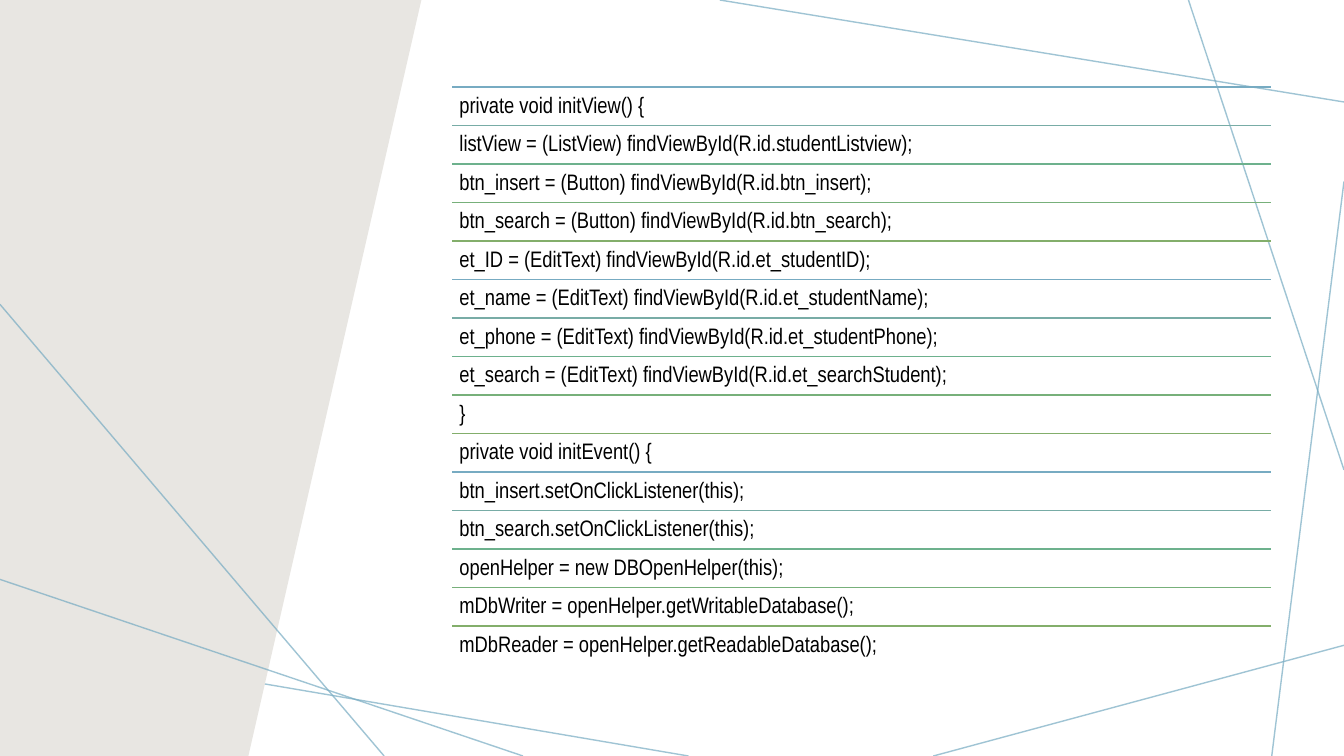
import pptx
import pptx.dml.color
import pptx.enum.shapes
import pptx.enum.text
import pptx.oxml.ns
import pptx.util
from lxml import etree

Cm = pptx.util.Cm
COLORS = {"panel": "E8E6E2", "text": "000000", "blue": "77ABC2", "teal": "78ACA6",
          "mint": "6DB18D", "green": "77B07A", "olive": "83AE6B"}
RULE_CYCLE = ["blue", "teal", "mint", "green", "olive"]
WIDTH, HEIGHT = 33.87, 19.05
ROW_LEFT, ROW_TOP, ROW_WIDTH, ROW_HEIGHT = 11.4, 2.19, 20.62, 0.97

PANEL = [(0, 0), (10.62, 0), (6.26, HEIGHT), (0, HEIGHT)]
BACK_LINES = [
    ((17.35, HEIGHT), (0, 16.1)),
    ((WIDTH, 16.26), (23.52, HEIGHT)),
    ((WIDTH, 4.57), (32.05, HEIGHT)),
    ((WIDTH, 11.84), (29.95, 0)),
    ((WIDTH, 2.57), (18.14, 0)),
]
FRONT_LINES = [
    ((0, 7.67), (9.68, HEIGHT)),
    ((13.18, HEIGHT), (0, 14.6)),
]
CODE = [
    "private void initView() {",
    "listView = (ListView) findViewById(R.id.studentListview);",
    "btn_insert = (Button) findViewById(R.id.btn_insert);",
    "btn_search = (Button) findViewById(R.id.btn_search);",
    "et_ID = (EditText) findViewById(R.id.et_studentID);",
    "et_name = (EditText) findViewById(R.id.et_studentName);",
    "et_phone = (EditText) findViewById(R.id.et_studentPhone);",
    "et_search = (EditText) findViewById(R.id.et_searchStudent);",
    "}",
    "private void initEvent() {",
    "btn_insert.setOnClickListener(this);",
    "btn_search.setOnClickListener(this);",
    "openHelper = new DBOpenHelper(this);",
    "mDbWriter = openHelper.getWritableDatabase();",
    "mDbReader = openHelper.getReadableDatabase();",
]


class SlideBuilder:
    font = "Arial Narrow"
    size = 16
    inset = 0.18

    def __init__(self, s):
        self.s = s

    def color(self, name):
        return pptx.dml.color.RGBColor.from_string(COLORS[name])

    def line(self, start, end, color, opacity=100):
        ln = self.s.shapes.add_connector(
            pptx.enum.shapes.MSO_CONNECTOR.STRAIGHT, *map(Cm, start + end))
        ln.line.color.rgb = self.color(color)
        ln.line.width = pptx.util.Pt(1)
        qn = pptx.oxml.ns.qn
        sp_pr = ln._element.spPr
        if opacity < 100:
            rgb = sp_pr.find(".//" + qn("a:srgbClr"))
            etree.SubElement(rgb, qn("a:alpha"), val=str(opacity * 1000))
        etree.SubElement(sp_pr, qn("a:effectLst"))

    def polygon(self, points, color):
        first, *rest = [(Cm(x), Cm(y)) for x, y in points]
        fb = self.s.shapes.build_freeform(*first)
        fb.add_line_segments(rest, close=True)
        sp = fb.convert_to_shape()
        sp.shadow.inherit = False
        sp.fill.solid()
        sp.fill.fore_color.rgb = self.color(color)
        sp.line.fill.background()

    def text(self, left, top, width, height, content):
        sp = self.s.shapes.add_textbox(Cm(left), Cm(top), Cm(width), Cm(height))
        tf = sp.text_frame
        tf.word_wrap = True
        tf.vertical_anchor = pptx.enum.text.MSO_ANCHOR.TOP
        tf.margin_left = tf.margin_right = Cm(self.inset)
        tf.margin_top = tf.margin_bottom = Cm(self.inset)
        p = tf.paragraphs[0]
        p.line_spacing = 0.9
        r = p.add_run()
        r.text = content
        r.font.name = self.font
        r.font.size = pptx.util.Pt(self.size)
        r.font.color.rgb = self.color("text")


def main():
    prs = pptx.Presentation()
    prs.slide_width, prs.slide_height = Cm(WIDTH), Cm(HEIGHT)
    b = SlideBuilder(prs.slides.add_slide(prs.slide_layouts[6]))

    for start, end in BACK_LINES:
        b.line(start, end, "blue", 70)
    b.polygon(PANEL, "panel")
    for start, end in FRONT_LINES:
        b.line(start, end, "blue", 70)

    for i, content in enumerate(CODE):
        top = ROW_TOP + i * ROW_HEIGHT
        b.line((ROW_LEFT, top), (ROW_LEFT + ROW_WIDTH, top), RULE_CYCLE[i % len(RULE_CYCLE)])
        b.text(ROW_LEFT, top, ROW_WIDTH, ROW_HEIGHT, content)

    prs.save("out.pptx")


if __name__ == "__main__":
    main()
